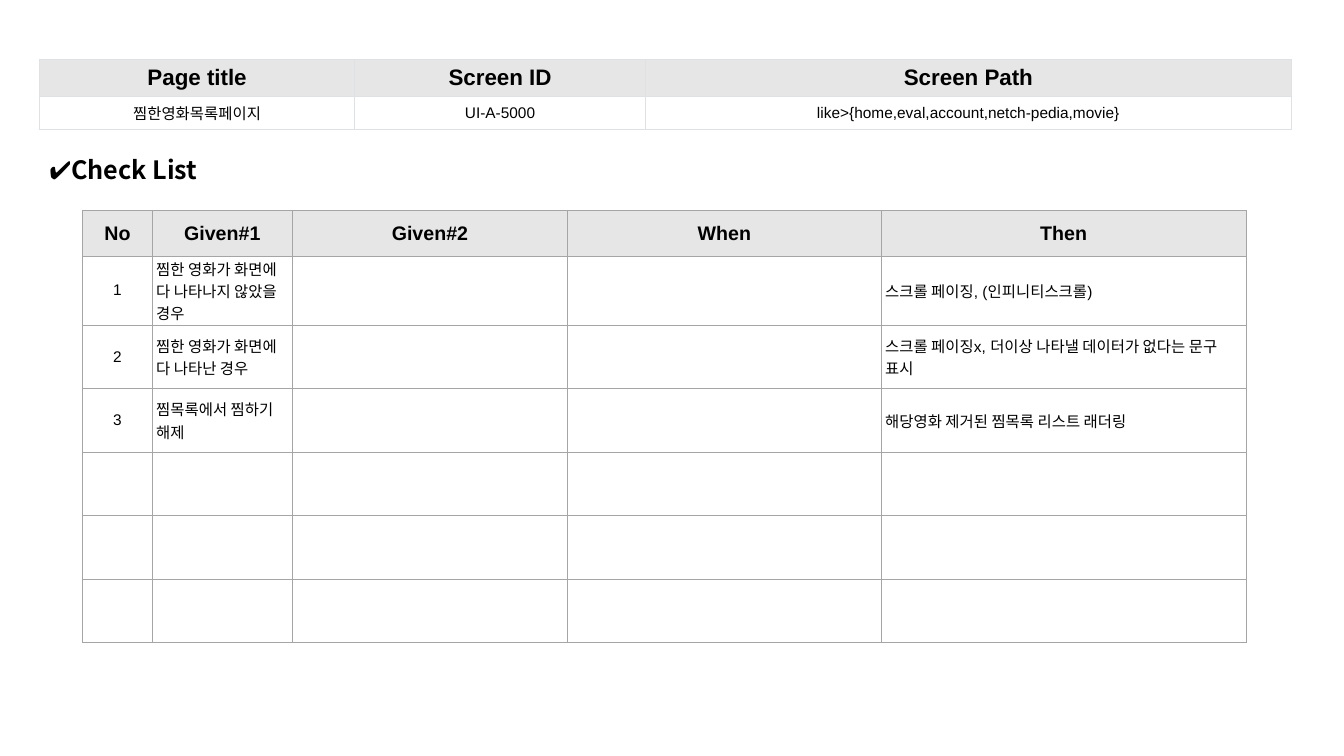
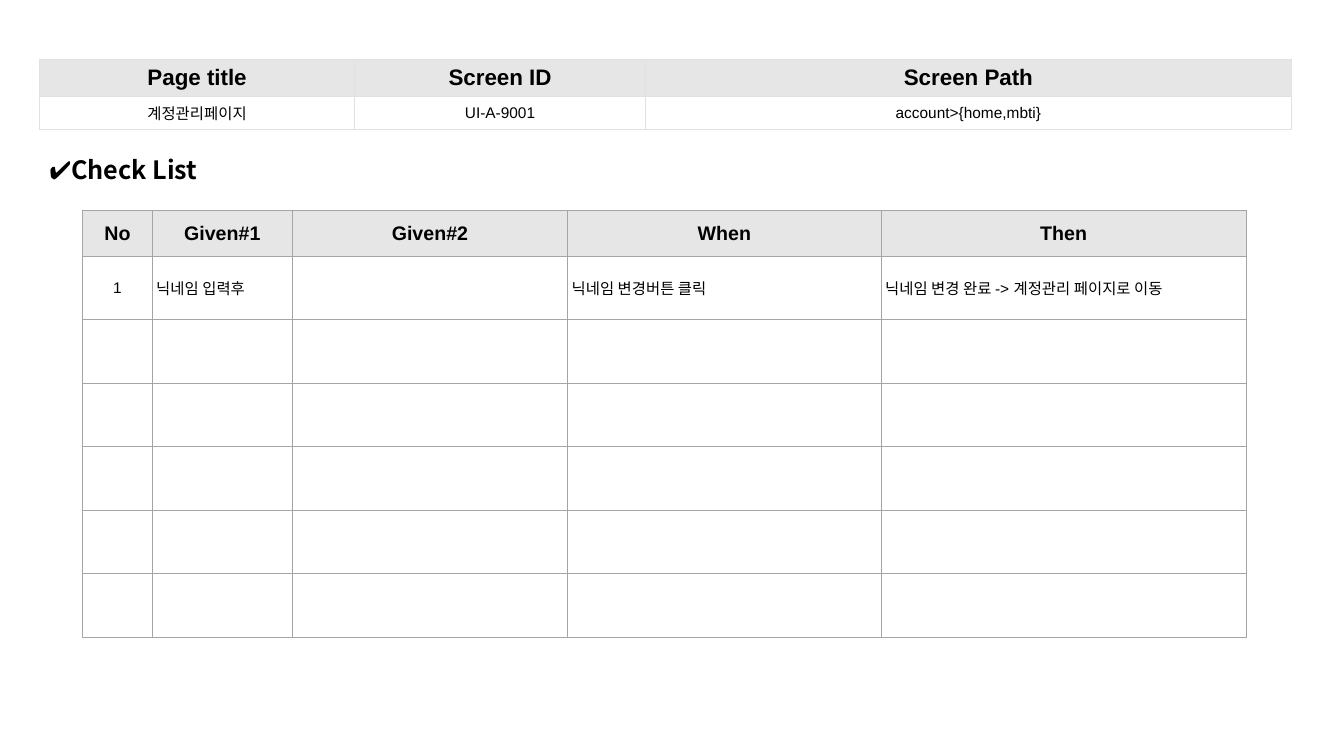
from lxml import etree
from pptx import Presentation
from pptx.dml.color import RGBColor
from pptx.enum.text import MSO_ANCHOR, PP_ALIGN
from pptx.oxml.ns import qn
from pptx.util import Inches, Pt

CENTER, LEFT = PP_ALIGN.CENTER, PP_ALIGN.LEFT
MIDDLE = MSO_ANCHOR.MIDDLE

COLORS = {
    "text": "000000",
    "head": "E7E6E6",
    "body": "FFFFFF",
    "info_line": "DFE2E5",
    "check_line": "A5A5A5",
}
LATIN_FONT, KOREAN_FONT = "Arial", "Noto Sans CJK KR"
BODY_SIZE = 11

# Boxes: left, top, width, height
INFO_BOX = (0.39, 0.59, 12.42, 0.68)
HEADING_BOX = (0.39, 1.48, 1.85, 0.4)
CHECK_BOX = (0.82, 2.09, 11.54, 4.23)

INFO_HEADS = ["Page title", "Screen ID", "Screen Path"]
CHECK_HEADS = ["No", "Given#1", "Given#2", "When", "Then"]
CHECK_ROWS = 6

# Table styles: margins are horizontal, vertical
INFO_STYLE = {
    "columns": [3.13, 2.88, 6.41], "head_height": 0.35, "head_size": 16,
    "line": "info_line", "head_margins": (0.11, 0.05),
    "body_margins": (0.11, 0.05), "aligns": [CENTER] * 3,
}
CHECK_STYLE = {
    "columns": [0.69, 1.39, 2.73, 3.11, 3.62], "head_height": 0.45,
    "head_size": 14, "line": "check_line", "head_margins": (0.04, 0.02),
    "body_margins": (0.04, 0.01), "aligns": [CENTER] + [LEFT] * 4,
}

PAGES = [
    {
        "info": ["찜한영화목록페이지", "UI-A-5000",
                 "like>{home,eval,account,netch-pedia,movie}"],
        "checks": [
            ["찜한 영화가 화면에 다 나타나지 않았을 경우", "", "",
             "스크롤 페이징, (인피니티스크롤)"],
            ["찜한 영화가 화면에 다 나타난 경우", "", "",
             "스크롤 페이징x, 더이상 나타낼 데이터가 없다는 문구 표시"],
            ["찜목록에서 찜하기 해제", "", "",
             "해당영화 제거된 찜목록 리스트 래더링"],
        ],
    },
    {
        "info": ["계정관리페이지", "UI-A-9001", "account>{home,mbti}"],
        "checks": [
            ["닉네임 입력후", "", "닉네임 변경버튼 클릭",
             "닉네임 변경 완료 -> 계정관리 페이지로 이동"],
        ],
    },
]


def add_text(para, text, size, bold=False, font=LATIN_FONT):
    span = para.add_run()
    span.text = text
    span.font.size = Pt(size)
    span.font.bold = bold
    span.font.name = font
    span.font.color.rgb = RGBColor.from_string(COLORS["text"])
    east_asian = etree.SubElement(span.font._element, qn("a:ea"))
    east_asian.set("typeface", KOREAN_FONT)


def set_borders(cell, color):
    properties = cell._tc.get_or_add_tcPr()
    # Border lines come before the cell's fill
    for index, side in enumerate(("lnL", "lnR", "lnT", "lnB")):
        line = etree.Element(qn(f"a:{side}"), w=str(Pt(0.75)))
        fill = etree.SubElement(line, qn("a:solidFill"))
        etree.SubElement(fill, qn("a:srgbClr"), val=color)
        properties.insert(index, line)


def fill_cell(cell, text, align, is_head, style):
    across, down = style["head_margins" if is_head else "body_margins"]
    cell.margin_left = cell.margin_right = Inches(across)
    cell.margin_top = cell.margin_bottom = Inches(down)
    cell.vertical_anchor = MIDDLE
    cell.fill.solid()
    cell.fill.fore_color.rgb = RGBColor.from_string(
        COLORS["head" if is_head else "body"])
    set_borders(cell, COLORS[style["line"]])
    if text:
        para = cell.text_frame.paragraphs[0]
        para.alignment = align
        add_text(para, text, style["head_size"] if is_head else BODY_SIZE, is_head)


def add_grid(page, box, rows, style):
    columns = style["columns"]
    frame = page.shapes.add_table(len(rows), len(columns), *map(Inches, box))
    table = frame.table
    table.horz_banding = False
    for column, width in zip(table.columns, columns):
        column.width = Inches(width)
    # Body rows share the height left under the head row
    body_height = (box[3] - style["head_height"]) / (len(rows) - 1)
    for row_number, texts in enumerate(rows):
        is_head = row_number == 0
        table.rows[row_number].height = Inches(
            style["head_height"] if is_head else body_height)
        for column_number, text in enumerate(texts):
            align = CENTER if is_head else style["aligns"][column_number]
            fill_cell(table.cell(row_number, column_number), text, align,
                      is_head, style)


def add_heading(page, box):
    heading = page.shapes.add_textbox(*map(Inches, box))
    heading.text_frame.word_wrap = True
    add_text(heading.text_frame.paragraphs[0], "✔Check List", 18, True, KOREAN_FONT)


def add_check_list(page, box, checks):
    numbered = [[str(number), *check] for number, check in enumerate(checks, 1)]
    blanks = [[""] * len(CHECK_HEADS)] * (CHECK_ROWS - len(checks))
    add_grid(page, box, [CHECK_HEADS] + numbered + blanks, CHECK_STYLE)


def add_page(deck, content):
    page = deck.slides.add_slide(deck.slide_layouts[6])
    add_check_list(page, CHECK_BOX, content["checks"])
    add_heading(page, HEADING_BOX)
    add_grid(page, INFO_BOX, [INFO_HEADS, content["info"]], INFO_STYLE)


def main():
    deck = Presentation()
    deck.slide_width, deck.slide_height = Inches(13.33), Inches(7.5)
    for content in PAGES:
        add_page(deck, content)
    deck.save("out.pptx")


if __name__ == "__main__":
    main()
